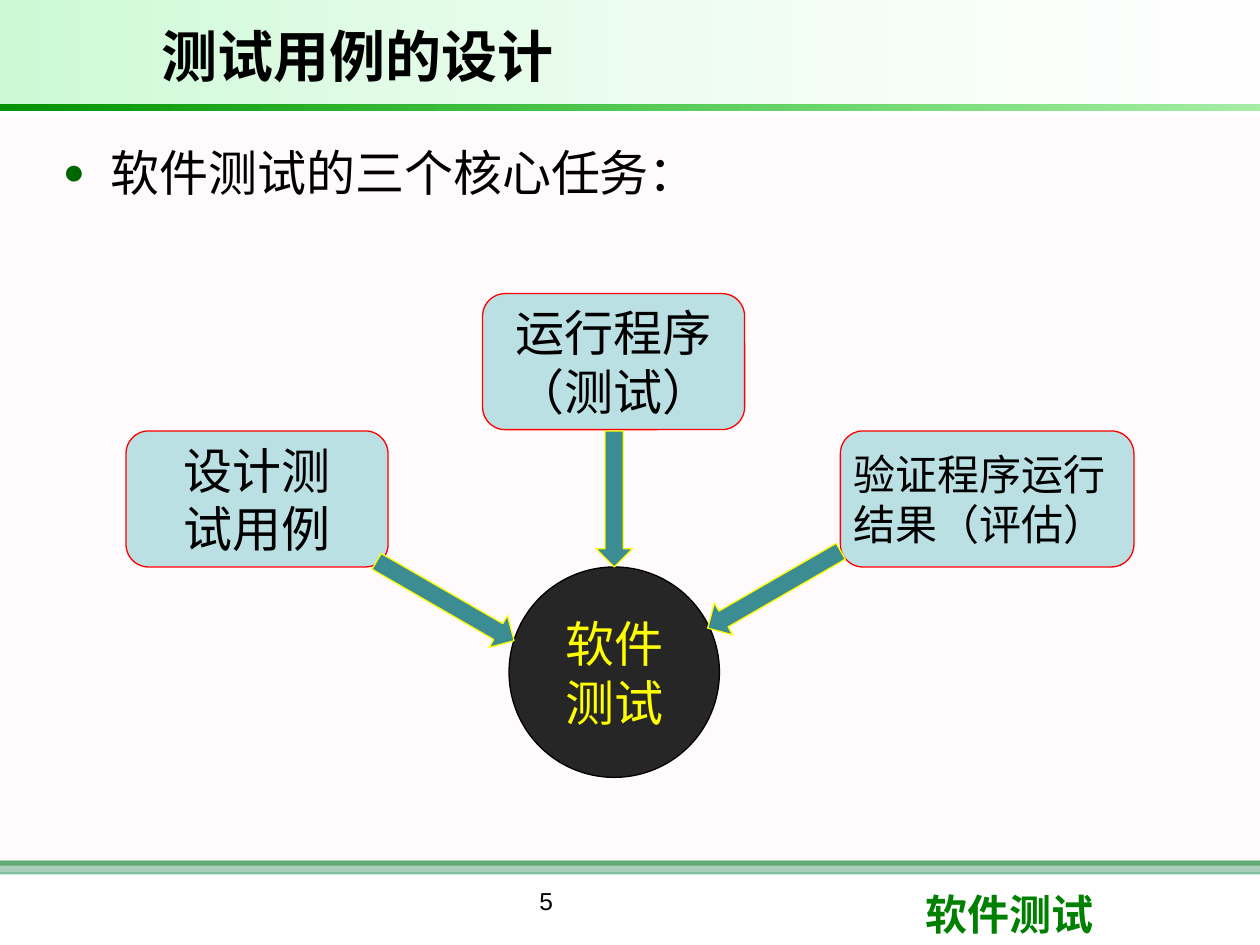
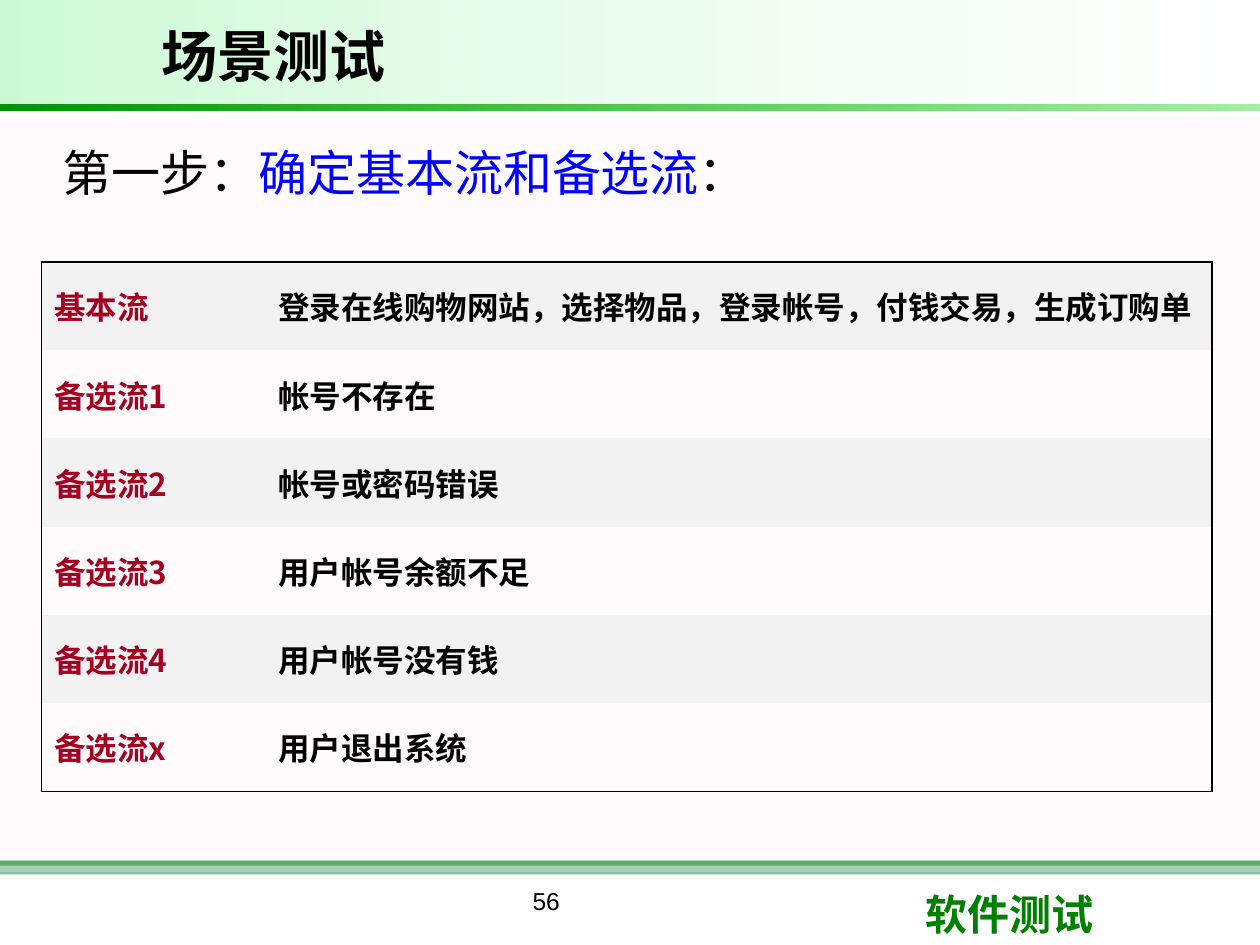
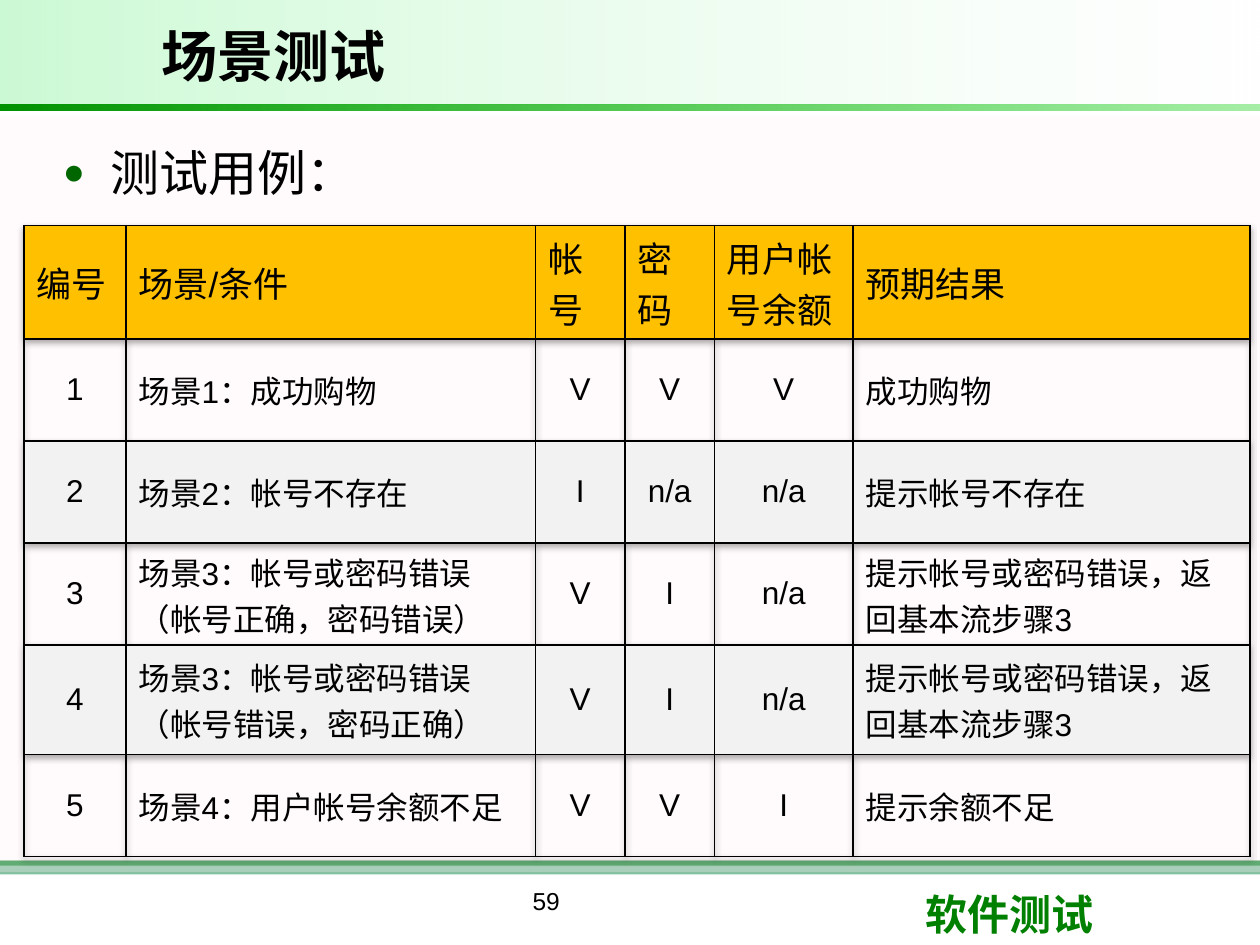
from lxml import etree
from pptx import Presentation
from pptx import util as u
from pptx.dml.color import RGBColor
from pptx.enum import shapes, text
from pptx.oxml import ns

INK = {
    "black": "000000", "green": "008000", "sea": "339966", "blush": "FFF0F5",
    "white": "FFFFFF", "lime": "09E733", "leaf": "00CC00", "moss": "009200",
    "dot": "006600", "coal": "262626", "yellow": "FFFF00", "sky": "BBE0E3",
    "red": "FF0000", "teal": "3C8C93", "blue": "0000FF", "wine": "A50021",
    "gray": "F2F2F2", "gold": "FFC000",
}
SANS = "Noto Sans CJK SC"
KIND = shapes.MSO_SHAPE
MID = text.MSO_ANCHOR.MIDDLE
CENTER = text.PP_ALIGN.CENTER
PLAIN = "{2D5ABB26-0587-4C30-8999-92F81FD0307C}"


def tint(name):
    return RGBColor.from_string(INK[name])


def node(up, tag, **attrs):
    item = etree.SubElement(up, ns.qn(tag))
    for key, val in attrs.items():
        item.set(key, str(val))
    return item


def shade(up, name, alpha=100):
    item = node(up, "a:srgbClr", val=INK[name])
    if alpha < 100:
        node(item, "a:alpha", val=alpha * 1000)


def style(run, size, color="black", font=SANS, bold=False):
    run.font.size = u.Pt(size)
    run.font.name = font
    run.font.bold = bold
    run.font.color.rgb = tint(color)
    node(run.font._element, "a:ea", typeface=SANS)


def write(frame, words, size, color="black", font=SANS, bold=False, align=None):
    frame.text = words
    for para in frame.paragraphs:
        para.alignment = align
        for run in para.runs:
            style(run, size, color, font, bold)


def label(slide, box, words, size, color="black", bold=False, align=None, anchor=None):
    frame = slide.shapes.add_textbox(*map(u.Inches, box)).text_frame
    frame.word_wrap = True
    frame.vertical_anchor = anchor
    write(frame, words, size, color, "Arial", bold, align)


def shape(slide, kind, box, fill, line=None, turn=0):
    item = slide.shapes.add_shape(kind, *map(u.Inches, box))
    item.shadow.inherit = False
    item.rotation = turn
    item.fill.solid()
    item.fill.fore_color.rgb = tint(fill)
    if line:
        item.line.color.rgb = tint(line)
        item.line.width = u.Pt(0.75)
    else:
        item.line.fill.background()
    return item


def band(slide, box, color, alpha=100):
    item = shape(slide, KIND.RECTANGLE, box, color)
    fill = item._element.spPr.find(ns.qn("a:solidFill"))
    fill.remove(fill[0])
    shade(fill, color, alpha)


def fade(slide, box, stops):
    item = shape(slide, KIND.RECTANGLE, box, "white", turn=180)
    props = item._element.spPr
    fill = node(props, "a:gradFill", rotWithShape=1)
    row = node(fill, "a:gsLst")
    for pos, color, alpha in stops:
        shade(node(row, "a:gs", pos=pos * 1000), color, alpha)
    node(fill, "a:lin", ang=0, scaled=0)
    props.replace(props.find(ns.qn("a:solidFill")), fill)


def base(deck, title, page):
    slide = deck.slides.add_slide(deck.slide_layouts[6])
    band(slide, (0, 6.83, 10, 0.04), "green")
    band(slide, (0, 6.83, 10, 0.11), "sea", 60)
    band(slide, (0, 0.92, 10, 6), "blush", 30)
    label(slide, (7.25, 7, 2.37, 0.5), "软件测试", 24, "green", True)
    fade(slide, (0, 0, 10, 0.83), [(0, "white", 10), (100, "lime", 21)])
    fade(slide, (0, 0.83, 10, 0.05), [(0, "leaf", 35), (100, "moss", 100)])
    label(slide, (1.18, 0.08, 6.97, 0.71), title, 32, bold=True, anchor=MID)
    label(slide, (2.75, 6.98, 3.17, 0.52), str(page), 14, align=CENTER)
    return slide


def lead(slide, box, parts, dot=True):
    frame = slide.shapes.add_textbox(*map(u.Inches, box)).text_frame
    frame.word_wrap = True
    para = frame.paragraphs[0]
    props = para._p.get_or_add_pPr()
    props.set("marL", str(u.Inches(0.39)))
    props.set("indent", str(u.Inches(-0.38)))
    if dot:
        shade(node(props, "a:buClr"), "dot")
        node(props, "a:buSzPct", val=75000)
        node(props, "a:buFont", typeface="Arial")
        node(props, "a:buChar", char="●")
    else:
        node(props, "a:buNone")
    for words, color in parts:
        run = para.add_run()
        run.text = words
        style(run, 28, color)


def tasks(slide, x, y):
    wide, high, ball = 2.08, 1.08, 1.67
    parts = [
        (KIND.OVAL, (3.04, 2 * high + 0.01, ball, ball), "软件\n测试", 28, "coal", "black", "yellow"),
        (KIND.ROUNDED_RECTANGLE, (0, high + 0.01, wide, high), "设计测\n试用例", 28, "sky", "red", "black"),
        (KIND.ROUNDED_RECTANGLE, (2.83, 0, wide, high), "运行程序（测试）", 28, "sky", "red", "black"),
        (KIND.ROUNDED_RECTANGLE, (5.67, high + 0.01, 2.33, high), "验证程序运行结果（评估）", 24, "sky", "red", "black"),
    ]
    for kind, (left, top, w, h), words, size, fill, line, color in parts:
        item = shape(slide, kind, (x + left, y + top, w, h), fill, line)
        frame = item.text_frame
        frame.word_wrap = True
        frame.vertical_anchor = MID
        frame.margin_left = frame.margin_right = u.Inches(0.05)
        align = text.PP_ALIGN.LEFT if size == 24 else CENTER
        write(frame, words, size, color, align=align)
    for left, top, size, turn in [(3.73, 1.09, 1.08, 0), (5, 1.74, 1.22, 60), (2.39, 1.81, 1.26, 300)]:
        shape(slide, KIND.DOWN_ARROW, (x + left, y + top, 0.29, size), "teal", "yellow", turn)


def edge(cell, sides):
    props = cell._tc.get_or_add_tcPr()
    for spot, side in enumerate("LRTB"):
        line = etree.Element(ns.qn("a:ln" + side), w=str(u.Pt(1)))
        if side in sides:
            shade(node(line, "a:solidFill"), "black")
        else:
            node(line, "a:noFill")
        props.insert(spot, line)


def table(slide, x, y, cols, rows):
    box = map(u.Inches, (x, y, sum(cols), sum(rows)))
    grid = slide.shapes.add_table(len(rows), len(cols), *box).table
    grid.first_row = grid.horz_banding = False
    grid._tbl.tblPr[-1].text = PLAIN
    for col, wide in zip(grid.columns, cols):
        col.width = u.Inches(wide)
    for row, high in zip(grid.rows, rows):
        row.height = u.Inches(high)
    return grid


def paint(cell, color):
    cell.vertical_anchor = MID
    if color:
        cell.fill.solid()
        cell.fill.fore_color.rgb = tint(color)
    else:
        cell.fill.background()


def flows(slide, x, y):
    data = [
        ("基本流", "登录在线购物网站，选择物品，登录帐号，付钱交易，生成订购单"),
        ("备选流1", "帐号不存在"),
        ("备选流2", "帐号或密码错误"),
        ("备选流3", "用户帐号余额不足"),
        ("备选流4", "用户帐号没有钱"),
        ("备选流x", "用户退出系统"),
    ]
    grid = table(slide, x, y, [1.78, 7.51], [0.7] * len(data))
    for r, row in enumerate(data):
        ends = {0: "T", len(data) - 1: "B"}.get(r, "")
        for c, words in enumerate(row):
            cell = grid.cell(r, c)
            write(cell.text_frame, words, 18, ("wine", "black")[c], bold=True)
            paint(cell, None if r % 2 else "gray")
            edge(cell, "LR"[c] + ends)


def cases(slide, x, y):
    retry = "提示帐号或密码错误，返回基本流步骤3"
    data = [
        ("编号", "场景/条件", "帐号", "密码", "用户帐号余额", "预期结果"),
        ("1", "场景1：成功购物", "V", "V", "V", "成功购物"),
        ("2", "场景2：帐号不存在", "I", "n/a", "n/a", "提示帐号不存在"),
        ("3", "场景3：帐号或密码错误（帐号正确，密码错误）", "V", "I", "n/a", retry),
        ("4", "场景3：帐号或密码错误（帐号错误，密码正确）", "V", "I", "n/a", retry),
        ("5", "场景4：用户帐号余额不足", "V", "V", "I", "提示余额不足"),
    ]
    cols = [0.81, 3.25, 0.71, 0.71, 1.1, 3.15]
    grid = table(slide, x, y, cols, [0.9, 0.81, 0.81, 0.81, 0.87, 0.81])
    glow = etree.Element(ns.qn("a:effectLst"))
    cast = node(glow, "a:outerShdw", blurRad=u.Pt(3), dist=u.Pt(2), dir=5400000, rotWithShape=0)
    shade(cast, "black", 35)
    grid._tbl.tblPr.insert(0, glow)
    for r, row in enumerate(data):
        for c, words in enumerate(row):
            cell = grid.cell(r, c)
            align = CENTER if r and c not in (1, 5) else None
            write(cell.text_frame, words, 18 if r else 20, font="Arial", align=align)
            paint(cell, "gold" if r == 0 else None if r % 2 else "gray")
            edge(cell, "LRTB")


def main():
    deck = Presentation()
    deck.slide_width, deck.slide_height = u.Inches(10), u.Inches(7.5)

    slide = base(deck, "测试用例的设计", 5)
    lead(slide, (0.39, 1.08, 9.36, 1), [("软件测试的三个核心任务：", "black")])
    tasks(slide, 1, 2.33)

    slide = base(deck, "场景测试", 56)
    parts = [("第一步：", "black"), ("确定基本流和备选流", "blue"), ("：", "black")]
    lead(slide, (0.39, 1.08, 9.36, 5.58), parts, dot=False)
    flows(slide, 0.33, 2.08)

    slide = base(deck, "场景测试", 59)
    lead(slide, (0.39, 1.08, 9.36, 5.58), [("测试用例：", "black")])
    cases(slide, 0.19, 1.79)

    deck.save("out.pptx")


if __name__ == "__main__":
    main()
